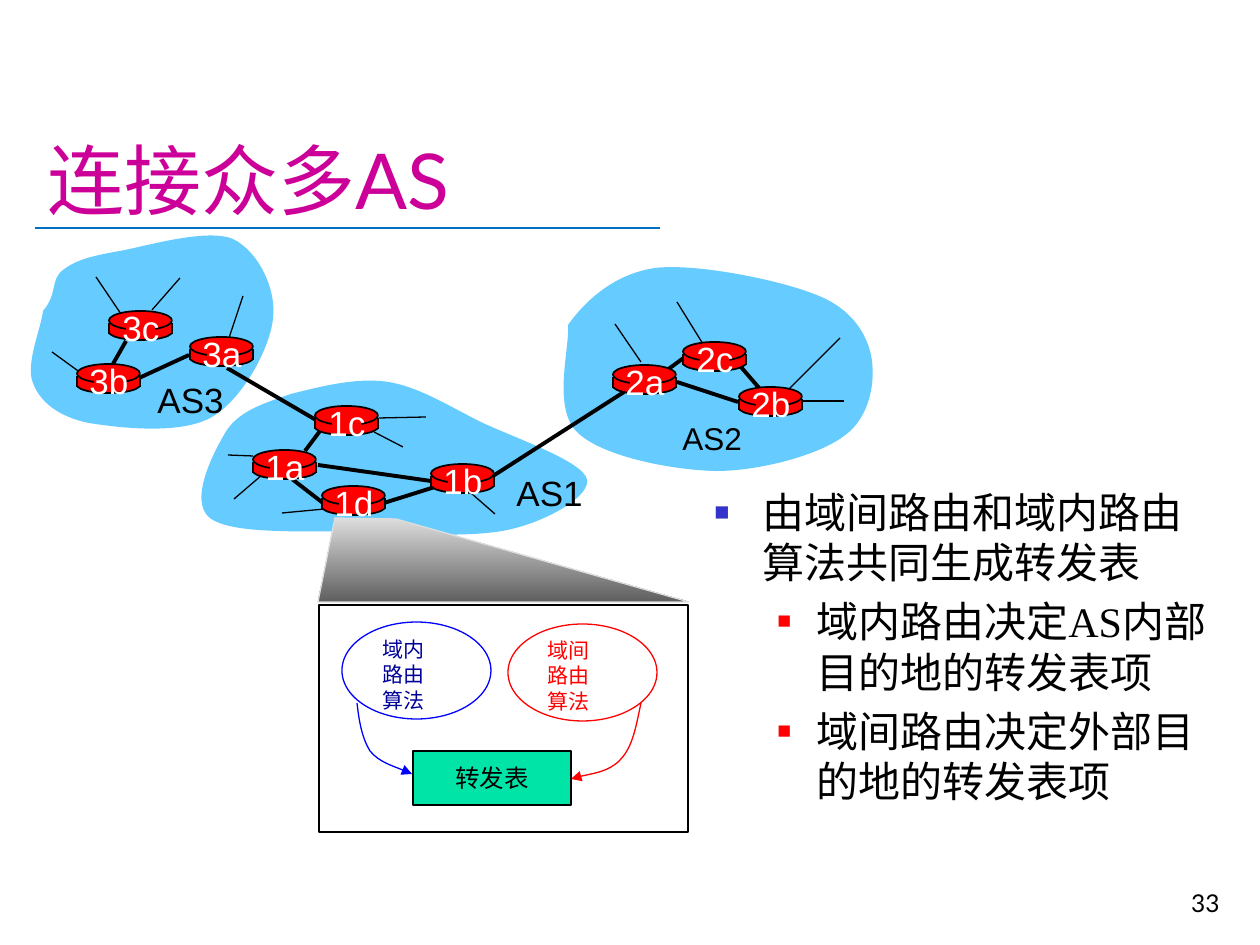
from lxml import etree
from pptx import Presentation, util as u
from pptx.dml.color import RGBColor
from pptx.enum import shapes as kinds, text as tx
from pptx.oxml import ns

PX = 914400 / 126
COLORS = {"title": "CC0099", "rule": "0070C0", "cloud": "66CCFF", "router": "FF0000",
          "black": "000000", "white": "FFFFFF", "blue": "0000FF", "navy": "000099",
          "red": "FF0000", "table": "00E4A8", "bullet": "3333CC",
          "light": "DDDDDD", "dark": "5F5F5F"}
RGB = {name: RGBColor.from_string(value) for name, value in COLORS.items()}
CJK = "Noto Sans CJK SC"

prs = Presentation()
prs.slide_width, prs.slide_height = u.Inches(10), u.Inches(7.5)
slide = prs.slides.add_slide(prs.slide_layouts[6])
shapes = slide.shapes


def paint(shape, fill=None, line=None, width=0.75):
    shape.shadow.inherit = False
    if fill:
        shape.fill.solid()
        shape.fill.fore_color.rgb = RGB[fill]
    else:
        shape.fill.background()
    if line:
        shape.line.color.rgb = RGB[line]
        shape.line.width = u.Pt(width)
    else:
        shape.line.fill.background()


def write(frame, words, size, font, color, align=tx.PP_ALIGN.LEFT, wrap=False,
          anchor=tx.MSO_ANCHOR.TOP, leading=None):
    frame.text = words
    frame.word_wrap = wrap
    frame.vertical_anchor = anchor
    if not wrap and anchor == tx.MSO_ANCHOR.TOP:
        frame.auto_size = tx.MSO_AUTO_SIZE.SHAPE_TO_FIT_TEXT
    for paragraph in frame.paragraphs:
        paragraph.alignment = align
        if leading:
            paragraph.line_spacing = u.Pt(leading)
        for run in paragraph.runs:
            run.font.size = u.Pt(size)
            run.font.name = font
            run.font.color.rgb = RGB[color]
            east = etree.SubElement(run.font._element, ns.qn("a:ea"))
            east.set("typeface", CJK)


clouds = [
    [(568, 325), (585, 301), (614, 274), (655, 268), (696, 263), (779, 280), (814, 294),
     (850, 307), (866, 332), (871, 355), (876, 379), (871, 417), (844, 436),
     (819, 455), (760, 471), (716, 471), (670, 470), (601, 456), (577, 432),
     (552, 407), (570, 348), (568, 325)],
    [(43, 311), (58, 294), (50, 280), (63, 270), (76, 260), (91, 256), (120, 251),
     (147, 246), (207, 228), (233, 239), (258, 251), (277, 289), (273, 319),
     (270, 348), (243, 399), (212, 417), (181, 435), (120, 428), (89, 423),
     (59, 417), (40, 402), (33, 383), (25, 364), (42, 326), (43, 311)],
    [(227, 430), (241, 410), (265, 403), (291, 394), (319, 387), (357, 377), (388, 382),
     (420, 387), (450, 407), (483, 423), (515, 438), (582, 461), (587, 479),
     (591, 496), (549, 520), (512, 529), (475, 538), (415, 534), (364, 532),
     (314, 530), (233, 536), (210, 518), (188, 501), (214, 451), (227, 430)],
]
arrows = [
    ("blue", [(357, 703), (359, 721), (362, 738), (370, 751), (379, 762), (404, 770), (412, 774)]),
    ("red", [(641, 703), (636, 726), (633, 747), (620, 760), (609, 772), (578, 776), (571, 779)]),
]
curves = [("cloud", None, cloud) for cloud in clouds]
curves += [(None, color, arrow) for color, arrow in arrows]
for fill, stroke, (start, *controls) in curves:
    builder = shapes.build_freeform(*start, scale=PX)
    builder.add_line_segments(controls, close=fill is not None)
    curve = builder.convert_to_shape()
    corners = list(curve._element.iter(ns.qn("a:lnTo")))
    for i in range(0, len(corners), 3):
        bezier = etree.Element(ns.qn("a:cubicBezTo"))
        corners[i].addprevious(bezier)
        for corner in corners[i:i + 3]:
            bezier.append(corner[0])
            corner.getparent().remove(corner)
    paint(curve, fill, stroke)
    if stroke:
        etree.SubElement(curve.line._get_or_add_ln(), ns.qn("a:tailEnd"), type="triangle")

links = [(677, 382, 738, 402), (741, 367, 760, 389), (663, 373, 685, 357),
         (384, 503, 438, 486), (292, 479, 323, 503), (318, 465, 431, 481),
         (305, 451, 320, 431), (139, 378, 189, 355), (227, 368, 316, 420),
         (493, 476, 624, 392), (126, 341, 113, 364)]
spurs = [(52, 352, 81, 373), (180, 278, 152, 310), (96, 277, 121, 314),
         (243, 296, 229, 338), (800, 401, 844, 401), (789, 389, 840, 338),
         (703, 344, 677, 302), (641, 362, 615, 324), (262, 475, 234, 499),
         (253, 456, 228, 455), (325, 509, 282, 513), (379, 418, 426, 417),
         (471, 493, 495, 514), (374, 432, 403, 447)]
routers = [("3b", 77, 364), ("1d", 322, 486), ("3a", 190, 337), ("1c", 315, 406),
           ("2a", 613, 365), ("1a", 253, 450), ("2c", 683, 342), ("2b", 739, 387),
           ("1b", 431, 464), ("3c", 109, 311)]
strokes = [("rule", 1.25, (35, 228, 660, 228))]
strokes += [("black", 2.25, link) for link in links]
strokes += [("black", 1, (x + side, y + 12, x + side, y + 23))
            for _, x, y in routers for side in (0, 63)]
strokes += [("black", 0.75, spur) for spur in spurs]
for color, width, ends in strokes:
    stroke = shapes.add_connector(kinds.MSO_CONNECTOR.STRAIGHT, *[u.Emu(round(v * PX)) for v in ends])
    stroke.line.color.rgb = RGB[color]
    stroke.line.width = u.Pt(width)
    etree.SubElement(stroke._element.spPr, ns.qn("a:effectLst"))

OVAL, RECT = kinds.MSO_SHAPE.OVAL, kinds.MSO_SHAPE.RECTANGLE
router_parts = [(OVAL, 0, 13, 63, 16, "black"), (RECT, 1, 12, 61, 10, None),
                (OVAL, 0, 0, 63, 19, "black"), (RECT, 17, 2, 29, 25, None)]
for name, x, y in routers:
    for kind, dx, dy, w, h, outline in router_parts:
        part = shapes.add_shape(kind, *[u.Emu(round(v * PX)) for v in (x + dx, y + dy, w, h)])
        paint(part, "router", outline, 1)
    label = shapes.add_textbox(*[u.Emu(round(v * PX)) for v in (x, y - 11, 64, 54)])
    write(label.text_frame, name, 20, "Arial", "white", tx.PP_ALIGN.CENTER)

beam_builder = shapes.build_freeform(318, 602, scale=PX)
beam_builder.add_line_segments([(335, 518), (396, 519), (689, 602)])
beam = beam_builder.convert_to_shape()
paint(beam, None, "light")
beam.fill.gradient()
beam.fill.gradient_angle = 270
for stop, color in zip(beam.fill.gradient_stops, ("light", "dark")):
    stop.color.rgb = RGB[color]

panel = [(RECT, 319, 605, 369, 227, None, "black"), (OVAL, 342, 622, 149, 97, None, "blue"),
         (OVAL, 508, 624, 149, 97, None, "red"), (RECT, 413, 751, 158, 54, "table", "black")]
for kind, x, y, w, h, fill, outline in panel:
    forwarding_table = shapes.add_shape(kind, *[u.Emu(round(v * PX)) for v in (x, y, w, h)])
    paint(forwarding_table, fill, outline)
write(forwarding_table.text_frame, "转发表", 14, "Times New Roman", "black",
      tx.PP_ALIGN.CENTER, anchor=tx.MSO_ANCHOR.MIDDLE, leading=17)

LEFT, RIGHT = tx.PP_ALIGN.LEFT, tx.PP_ALIGN.RIGHT
TOP, BOTTOM = tx.MSO_ANCHOR.TOP, tx.MSO_ANCHOR.BOTTOM
captions = [
    ("连接众多AS", 35, 29, 1198, 202, 44, "Lato", "title", LEFT, True, BOTTOM, 53),
    ("33", 970, 861, 262, 63, 14, "Lato", "black", RIGHT, True, BOTTOM, None),
    ("AS3", 145, 372, 92, 54, 20, "Arial", "black", LEFT, False, TOP, None),
    ("AS1", 504, 465, 92, 54, 20, "Arial", "black", LEFT, False, TOP, None),
    ("AS2", 670, 413, 85, 50, 18, "Arial", "black", LEFT, False, TOP, None),
    ("域内\v路由\v算法", 370, 630, 68, 89, 12, CJK, "navy", LEFT, False, TOP, 14.5),
    ("域间\n路由\n算法", 535, 631, 68, 89, 12, CJK, "red", LEFT, False, TOP, 14.5),
]
for words, x, y, w, h, *look in captions:
    caption = shapes.add_textbox(*[u.Emu(round(v * PX)) for v in (x, y, w, h)])
    write(caption.text_frame, words, *look)

points = [("由域间路由和域内路由算法共同生成转发表", 0, 48, 48, "bullet", 60),
          ("域内路由决定AS内部目的地的转发表项", 1, 102, 39, "red", 55),
          ("域间路由决定外部目的地的转发表项", 1, 102, 39, "red", 55)]
summary = shapes.add_textbox(*[u.Emu(round(v * PX)) for v in (702, 480, 525, 469)]).text_frame
write(summary, "\n".join(point[0] for point in points), 24, "Times New Roman", "black",
      wrap=True, leading=28.8)
for paragraph, (_, level, margin, hang, color, percent) in zip(summary.paragraphs, points):
    paragraph.level = level
    paragraph.space_before = u.Pt(5)
    props = paragraph._p.get_or_add_pPr()
    props.set("marL", str(round(margin * PX)))
    props.set("indent", str(round(-hang * PX)))
    tint = etree.SubElement(props, ns.qn("a:buClr"))
    etree.SubElement(tint, ns.qn("a:srgbClr"), val=COLORS[color])
    etree.SubElement(props, ns.qn("a:buSzPct"), val=str(percent * 1000))
    etree.SubElement(props, ns.qn("a:buFont"), typeface="Arial")
    etree.SubElement(props, ns.qn("a:buChar"), char="■")

prs.save("out.pptx")
